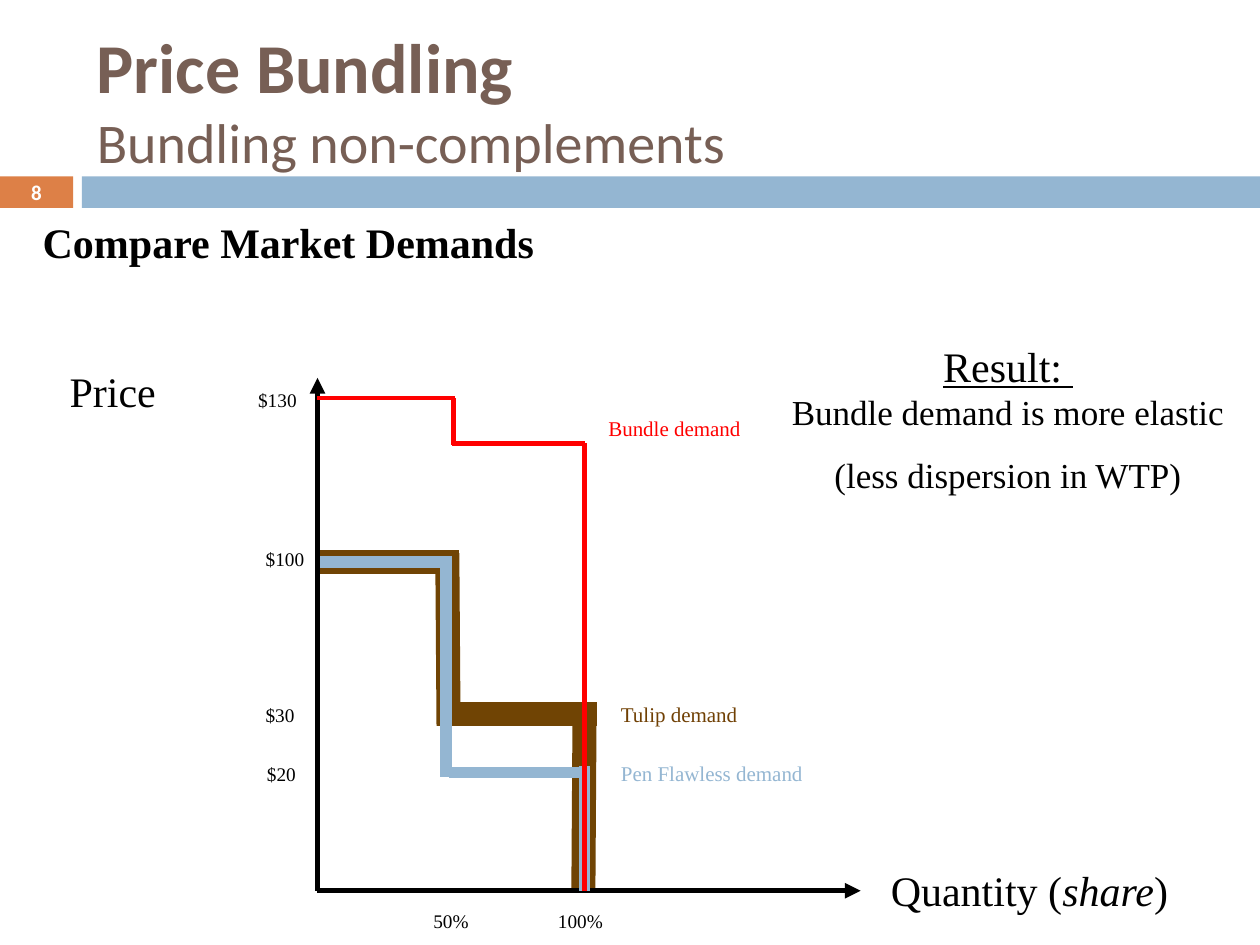
"""Build a slide that compares step-shaped market demand curves."""
from dataclasses import dataclass

from pptx import Presentation
from pptx import util as u
from pptx.dml.color import RGBColor
from pptx.enum import shapes, text
from pptx.oxml.ns import qn
from lxml import etree

PX = u.Inches(1) // 100


@dataclass(frozen=True)
class Theme:
    black: str = "000000"
    white: str = "FFFFFF"
    red: str = "FF0000"
    blue: str = "94B6D2"
    orange: str = "DD8047"
    brown: str = "704404"
    umber: str = "704004"
    taupe: str = "775F55"
    serif: str = "Times New Roman"
    sans: str = "Calibri"
    title: float = 40
    sub: float = 32
    head: float = 24
    body: float = 20
    note: float = 12
    tick: float = 11


T = Theme()
LEFT, MID = text.PP_ALIGN.LEFT, text.PP_ALIGN.CENTER


@dataclass(frozen=True)
class Bar:
    x: int
    w: int
    color: str


@dataclass(frozen=True)
class Line:
    x1: int
    y1: int
    x2: int
    y2: int
    color: str
    width: float
    arrow: bool = False


@dataclass(frozen=True)
class Run:
    words: str
    bold: bool = False
    italic: bool = False
    under: bool = False


@dataclass(frozen=True)
class Para:
    runs: tuple[Run, ...]
    size: float
    after: int = 0


@dataclass(frozen=True)
class Label:
    x: int
    y: int
    w: int
    h: int
    paras: tuple[Para, ...]
    color: str = T.black
    font: str = T.serif
    align: text.PP_ALIGN = LEFT
    wrap: bool = False
    middle: bool = False


def plain(words: str, size: float, bold: bool = False, after: int = 0) -> Para:
    """Return a paragraph of one run."""
    return Para((Run(words, bold),), size, after)


def draw_bar(slide, bar: Bar) -> None:
    """Draw one part of the band under the title."""
    box = slide.shapes.add_shape(
        shapes.MSO_SHAPE.RECTANGLE, bar.x * PX, 140 * PX, bar.w * PX, 25 * PX)
    box.shadow.inherit = False
    box.fill.solid()
    box.fill.fore_color.rgb = RGBColor.from_string(bar.color)
    box.line.fill.background()


def draw_line(slide, line: Line) -> None:
    """Draw a straight line, with an arrowhead at its end if asked."""
    rule = slide.shapes.add_connector(
        shapes.MSO_CONNECTOR.STRAIGHT,
        line.x1 * PX, line.y1 * PX, line.x2 * PX, line.y2 * PX)
    rule.line.color.rgb = RGBColor.from_string(line.color)
    rule.line.width = u.Pt(line.width)
    if line.arrow:
        etree.SubElement(rule.line._get_or_add_ln(), qn("a:tailEnd"), type="triangle")
    etree.SubElement(rule._element.spPr, qn("a:effectLst"))


def draw_label(slide, label: Label) -> None:
    """Draw a text box with its paragraphs."""
    box = slide.shapes.add_textbox(
        label.x * PX, label.y * PX, label.w * PX, label.h * PX)
    frame = box.text_frame
    frame.word_wrap = label.wrap
    if label.middle:
        frame.vertical_anchor = text.MSO_ANCHOR.MIDDLE
    for i, para in enumerate(label.paras):
        item = frame.add_paragraph() if i else frame.paragraphs[0]
        item.alignment = label.align
        item.space_after = u.Pt(para.after)
        item.font.name = label.font
        item.font.size = u.Pt(para.size)
        item.font.color.rgb = RGBColor.from_string(label.color)
        for part in para.runs:
            run = item.add_run()
            run.text = part.words
            run.font.bold = part.bold
            run.font.italic = part.italic
            run.font.underline = part.under


def tick(x: int, y: int, w: int, words: str) -> Label:
    """Return the label of an axis value."""
    return Label(x, y, w, 29, (plain(words, T.tick),))


def note(x: int, y: int, w: int, words: str, color: str) -> Label:
    """Return the name of a demand curve."""
    return Label(x, y, w, 30, (plain(words, T.note),), color)


BARS = (Bar(0, 58, T.orange), Bar(65, 935, T.blue))
THICK, STEP, AXIS, THIN = 13.75, 6.5, 3, 2.5
LINES = (
    Line(355, 439, 356, 576, T.brown, THICK),
    Line(251, 446, 364, 446, T.brown, THICK),
    Line(354, 567, 474, 567, T.brown, THICK),
    Line(464, 558, 463, 707, T.brown, THICK),
    Line(251, 446, 359, 446, T.blue, STEP),
    Line(252, 707, 252, 300, T.black, AXIS, True),
    Line(252, 707, 683, 707, T.black, AXIS, True),
    Line(252, 316, 361, 316, T.red, THIN),
    Line(359, 352, 464, 352, T.red, THIN),
    Line(360, 316, 360, 353, T.red, THIN),
    Line(356, 613, 466, 613, T.blue, STEP),
    Line(354, 448, 354, 617, T.blue, STEP),
    Line(464, 608, 464, 707, T.blue, STEP),
    Line(464, 352, 464, 707, T.red, THIN),
)
LABELS = (
    Label(67, 25, 892, 108,
          (plain("Price Bundling", T.title, True),
           plain("Bundling non-complements", T.sub)),
          T.taupe, T.sans, wrap=True, middle=True),
    Label(0, 139, 58, 27, (plain("8", T.note, True),), T.white, T.sans, MID,
          wrap=True, middle=True),
    Label(24, 167, 414, 50, (plain("Compare Market Demands", T.head, True),)),
    Label(45, 285, 89, 50, (plain("Price", T.head),), align=MID),
    Label(696, 681, 242, 50,
          (Para((Run("Quantity ("), Run("share", italic=True), Run(")")), T.head),),
          align=MID),
    Label(617, 265, 366, 134,
          (Para((Run("Result: ", under=True),), T.head),
           plain("Bundle demand is more elastic ", T.body, after=12),
           plain("(less dispersion in WTP)", T.body, after=12)),
          align=MID, wrap=True),
    note(473, 325, 127, "Bundle demand", T.red),
    note(483, 552, 116, "Tulip demand", T.umber),
    note(483, 599, 167, "Pen Flawless demand", T.blue),
    tick(195, 303, 51, "$130"),
    tick(201, 429, 51, "$100"),
    tick(201, 553, 43, "$30"),
    tick(202, 600, 43, "$20"),
    tick(334, 717, 48, "50%"),
    tick(433, 717, 56, "100%"),
)


def main() -> None:
    """Draw every part and save the file."""
    deck = Presentation()
    deck.slide_width, deck.slide_height = 1000 * PX, 750 * PX
    slide = deck.slides.add_slide(deck.slide_layouts[6])
    for bar in BARS:
        draw_bar(slide, bar)
    for line in LINES:
        draw_line(slide, line)
    for label in LABELS:
        draw_label(slide, label)
    deck.save("out.pptx")


if __name__ == "__main__":
    main()
